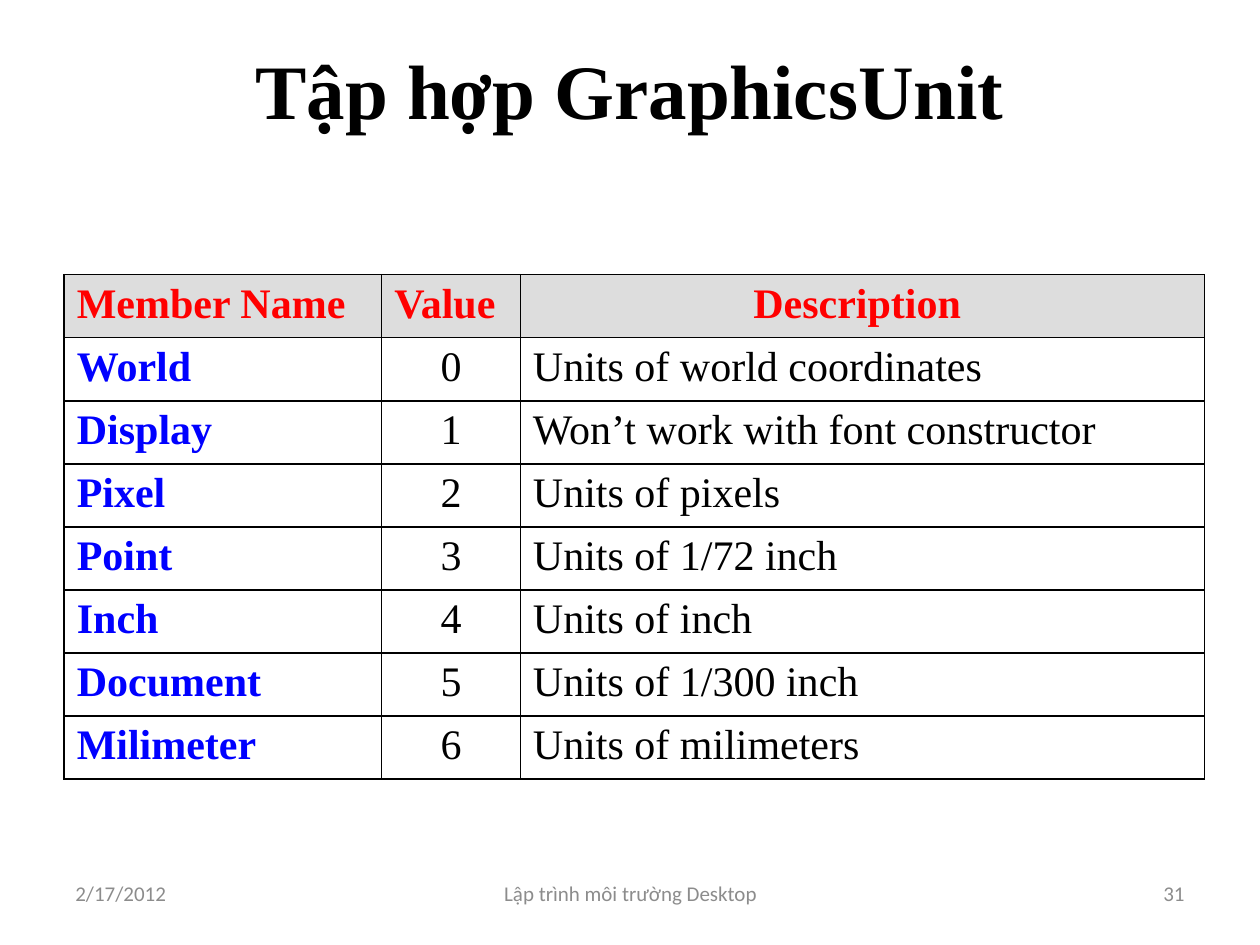
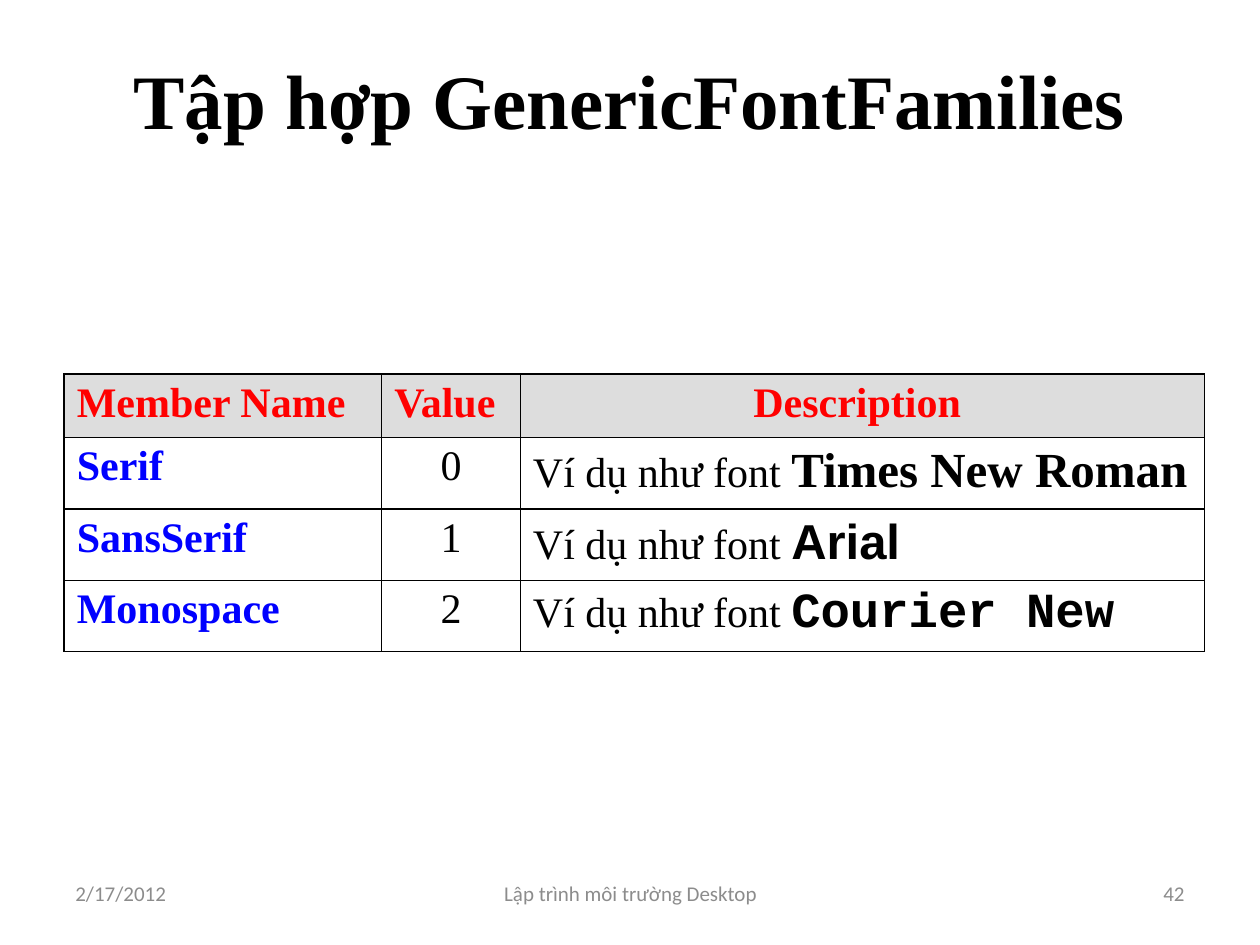
from lxml import etree
from pptx import Presentation
from pptx.dml.color import RGBColor
from pptx.enum.text import MSO_ANCHOR, PP_ALIGN
from pptx.oxml.ns import qn
from pptx.util import Inches, Pt

LEFT, CENTER, RIGHT = PP_ALIGN.LEFT, PP_ALIGN.CENTER, PP_ALIGN.RIGHT
MIDDLE = MSO_ANCHOR.MIDDLE

BLACK = RGBColor(0x00, 0x00, 0x00)
RED = RGBColor(0xFF, 0x00, 0x00)
BLUE = RGBColor(0x00, 0x00, 0xFF)
GRAY = RGBColor(0x8C, 0x8C, 0x8C)
HEADER_FILL = RGBColor(0xDD, 0xDD, 0xDD)

SERIF = "Times New Roman"
TITLE = {"name": SERIF, "size": Pt(44), "bold": True, "color": BLACK}
HEADER = {"name": SERIF, "size": Pt(24), "bold": True, "color": RED}
MEMBER = HEADER | {"color": BLUE}
BODY = HEADER | {"bold": False, "color": BLACK}
SAMPLE = BODY | {"size": Pt(28), "bold": True}
FOOTER = {"name": "Calibri", "size": Pt(12), "bold": False, "color": GRAY}

COLUMN_NAMES = ("Member Name", "Value", "Description ")
COLUMN_WIDTHS = (2.52, 1.1, 5.43)
HEADER_ALIGNS = (LEFT, LEFT, CENTER)
BODY_ALIGNS = (LEFT, CENTER, LEFT)
TABLE_LEFT = 0.51
ROW_HEIGHT = 0.48
BORDER_SIDES = ("a:lnL", "a:lnR", "a:lnT", "a:lnB")

GRAPHICS_UNITS = [
    ("World", "Units of world coordinates"),
    ("Display", "Won’t work with font constructor"),
    ("Pixel", "Units of pixels"),
    ("Point", "Units of 1/72 inch"),
    ("Inch", "Units of inch"),
    ("Document", "Units of 1/300 inch"),
    ("Milimeter", "Units of milimeters"),
]
FONT_FAMILIES = [("Serif", SERIF), ("SansSerif", "Arial"), ("Monospace", "Courier New")]


def write_runs(paragraph, runs, align):
    """Fill a paragraph with (text, format) runs."""
    paragraph.alignment = align
    for text, style in runs:
        run = paragraph.add_run()
        run.text = text
        for attribute, value in style.items():
            if attribute == "color":
                run.font.color.rgb = value
            else:
                setattr(run.font, attribute, value)


def add_text(slide, box, text, style, align):
    shape = slide.shapes.add_textbox(*map(Inches, box))
    frame = shape.text_frame
    frame.word_wrap = True
    frame.vertical_anchor = MIDDLE
    write_runs(frame.paragraphs[0], [(text, style)], align)


def add_borders(cell):
    """Draw a black 1 pt line on all four sides of a cell."""
    properties = cell._tc.get_or_add_tcPr()
    for position, side in enumerate(BORDER_SIDES):
        line = etree.Element(qn(side), w=str(Pt(1)))
        fill = etree.SubElement(line, qn("a:solidFill"))
        etree.SubElement(fill, qn("a:srgbClr"), val=str(BLACK))
        properties.insert(position, line)


def add_member_table(slide, top, members, row_heights):
    """Members are (name, description runs); values count up from zero."""
    rows = [[[(name, HEADER)] for name in COLUMN_NAMES]]
    for value, (name, description) in enumerate(members):
        rows.append([[(name, MEMBER)], [(str(value), BODY)], description])

    box = (TABLE_LEFT, top, sum(COLUMN_WIDTHS), sum(row_heights))
    table = slide.shapes.add_table(len(rows), len(COLUMN_NAMES), *map(Inches, box)).table
    table.first_row = table.horz_banding = False
    for column, width in zip(table.columns, COLUMN_WIDTHS):
        column.width = Inches(width)

    for row_index, (row, height) in enumerate(zip(rows, row_heights)):
        table.rows[row_index].height = Inches(height)
        is_header = row_index == 0
        aligns = HEADER_ALIGNS if is_header else BODY_ALIGNS
        for column_index, (runs, align) in enumerate(zip(row, aligns)):
            cell = table.cell(row_index, column_index)
            write_runs(cell.text_frame.paragraphs[0], runs, align)
            if is_header:
                cell.fill.solid()
                cell.fill.fore_color.rgb = HEADER_FILL
            else:
                cell.fill.background()
            add_borders(cell)


def add_footer(slide, number, top=6.83, height=0.52):
    add_text(slide, (0.5, top, 2.33, height), "2/17/2012", FOOTER, LEFT)
    add_text(slide, (3.42, top, 3.17, height), "Lập trình môi trường Desktop", FOOTER, CENTER)
    add_text(slide, (7.17, top, 2.33, height), str(number), FOOTER, RIGHT)


def add_enum_slide(presentation, title, title_top, number, table_top, members, row_heights):
    slide = presentation.slides.add_slide(presentation.slide_layouts[6])
    add_text(slide, (0.5, title_top, 9, 1.25), title, TITLE, CENTER)
    add_member_table(slide, table_top, members, row_heights)
    add_footer(slide, number)


def main():
    presentation = Presentation()
    presentation.slide_width = Inches(10)
    presentation.slide_height = Inches(7.5)

    # Units of measure; three rows are slightly taller
    units = [(name, [(text, BODY)]) for name, text in GRAPHICS_UNITS]
    unit_heights = [ROW_HEIGHT] * 4 + [0.5] * 3 + [ROW_HEIGHT]
    add_enum_slide(presentation, "Tập hợp GraphicsUnit", 0.08, 31, 2.18, units, unit_heights)

    # Font families, each sample set in its own font
    families = [
        (name, [("Ví dụ như font ", BODY), (font, SAMPLE | {"name": font})])
        for name, font in FONT_FAMILIES
    ]
    family_heights = [ROW_HEIGHT] + [0.54] * len(families)
    add_enum_slide(presentation, "Tập hợp GenericFontFamilies", 0.16, 42, 2.97, families, family_heights)

    presentation.save("out.pptx")


if __name__ == "__main__":
    main()
